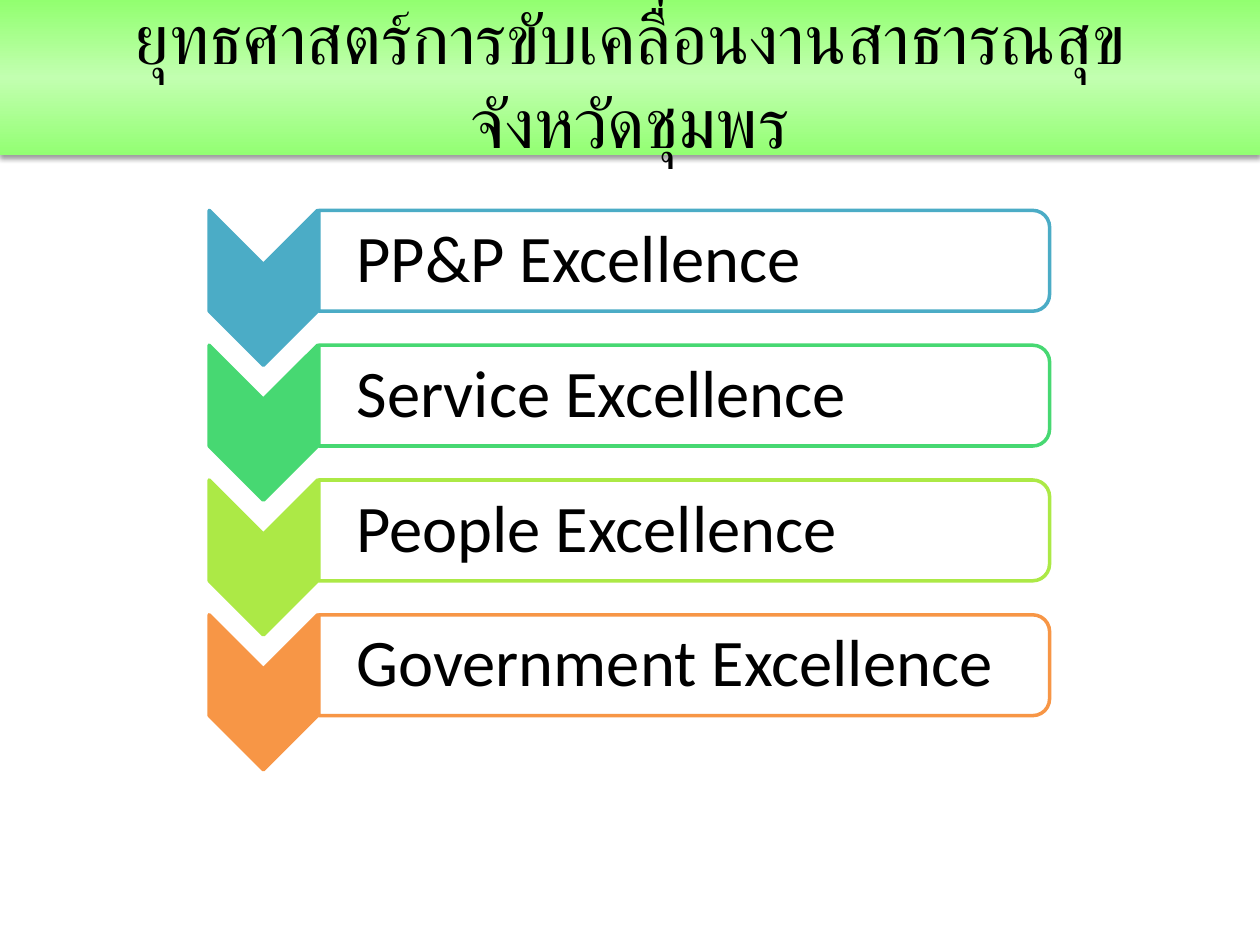
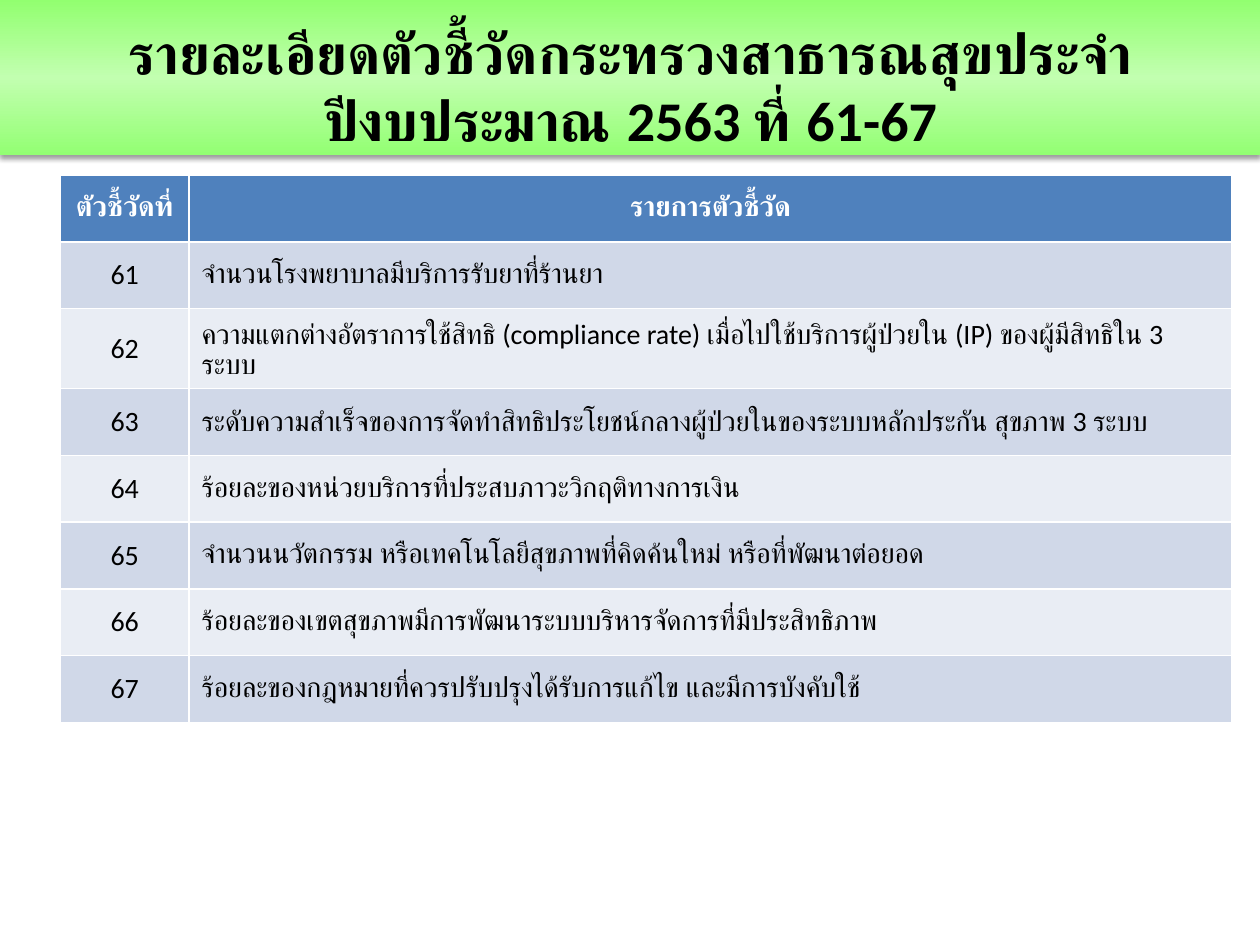
from typing import NamedTuple

from lxml import etree
from pptx import Presentation
from pptx import util as u
from pptx.dml.color import RGBColor
from pptx.enum import lang, shapes, text
from pptx.oxml import ns

PX = 9144  # 100 px to the inch
FONT = "Calibri"
BLACK, WHITE = "000000", "FFFFFF"
BAND_STOPS = ((0, "92FF70"), (50, "C2FFB0"), (100, "93FF73"))
HEADER_FILL = "4F81BD"
ROW_FILLS = ("D0D8E8", "E9EDF4")
A_NS = ns.nsdecls("a").split('"')[1]


class Box(NamedTuple):
    x: int
    y: int
    w: int
    h: int


class Goal(NamedTuple):
    name: str
    color: str


class Indicator(NamedTuple):
    number: str
    name: str


GOALS = (
    Goal("PP&P Excellence", "4BACC6"),
    Goal("Service Excellence", "47D872"),
    Goal("People Excellence", "ACE946"),
    Goal("Government Excellence", "F79646"),
)
GOAL_STEP = 107

INDICATORS = (
    Indicator("61", "จำนวนโรงพยาบาลมีบริการรับยาที่ร้านยา"),
    Indicator("62", "ความแตกต่างอัตราการใช้สิทธิ (compliance rate) เมื่อไปใช้บริการผู้ป่วยใน (IP) "
                    "ของผู้มีสิทธิใน 3 ระบบ"),
    Indicator("63", "ระดับความสำเร็จของการจัดทำสิทธิประโยชน์กลางผู้ป่วยในของระบบหลักประกัน "
                    "สุขภาพ 3 ระบบ"),
    Indicator("64", "ร้อยละของหน่วยบริการที่ประสบภาวะวิกฤติทางการเงิน"),
    Indicator("65", "จำนวนนวัตกรรม หรือเทคโนโลยีสุขภาพที่คิดค้นใหม่ หรือที่พัฒนาต่อยอด"),
    Indicator("66", "ร้อยละของเขตสุขภาพมีการพัฒนาระบบบริหารจัดการที่มีประสิทธิภาพ"),
    Indicator("67", "ร้อยละของกฎหมายที่ควรปรับปรุงได้รับการแก้ไข และมีการบังคับใช้"),
)


def px(n: float) -> u.Emu:
    return u.Emu(round(n * PX))


def rgb(color: str) -> RGBColor:
    return RGBColor.from_string(color)


def sub(parent, tag: str, **attrs):
    """Append a DrawingML element."""
    return etree.SubElement(parent, f"{{{A_NS}}}{tag}", {k: str(v) for k, v in attrs.items()})


def write(tf, words: str, size: int, color: str = BLACK, bold: bool = False,
          align=text.PP_ALIGN.LEFT) -> None:
    tf.text = words
    tf.word_wrap = True
    p = tf.paragraphs[0]
    p.alignment = align
    for r in p.runs:
        r.font.name, r.font.size, r.font.bold = FONT, u.Pt(size), bold
        r.font.color.rgb = rgb(color)
        r.font.language_id = lang.MSO_LANGUAGE_ID.THAI


def add_text(slide, box: Box, words: str, size: int, **style):
    tf = slide.shapes.add_textbox(*map(px, box)).text_frame
    write(tf, words, size, **style)
    tf.vertical_anchor = text.MSO_ANCHOR.MIDDLE
    return tf


def add_band(slide) -> None:
    s = slide.shapes.add_shape(shapes.MSO_SHAPE.RECTANGLE, *map(px, Box(0, 0, 1000, 123)))
    s.shadow.inherit = False
    s.line.fill.background()
    s.fill.gradient()
    grad = s._element.spPr.find(ns.qn("a:gradFill"))
    for child in list(grad):
        grad.remove(child)
    stops = sub(grad, "gsLst")
    for pos, color in BAND_STOPS:
        sub(sub(stops, "gs", pos=pos * 1000), "srgbClr", val=color)
    sub(grad, "lin", ang=90 * 60000, scaled=0)
    shadow = sub(s._element.spPr.find(ns.qn("a:effectLst")), "outerShdw",
                 blurRad=u.Pt(3.1), dist=u.Pt(1.6), dir=90 * 60000, rotWithShape=0)
    sub(sub(shadow, "srgbClr", val=BLACK), "alpha", val=38000)


def add_title(slide, box: Box, words: str, size: int, bold: bool = False) -> None:
    add_text(slide, box, words, size, bold=bold, align=text.PP_ALIGN.CENTER)


def add_turned(slide, kind, box: Box, fill: str, line: str):
    """Draw a preset turned by 90 degrees so that it covers the box."""
    shift = (box.w - box.h) / 2
    s = slide.shapes.add_shape(kind, px(box.x + shift), px(box.y - shift), px(box.h), px(box.w))
    s.rotation = 90
    s.shadow.inherit = False
    s.fill.solid()
    s.fill.fore_color.rgb = rgb(fill)
    s.line.color.rgb = rgb(line)
    s.line.width = u.Pt(2)
    return s


def add_goal(slide, goal: Goal, top: int) -> None:
    add_turned(slide, shapes.MSO_SHAPE.CHEVRON, Box(166, top, 86, 123), goal.color, goal.color)
    panel = add_turned(slide, shapes.MSO_SHAPE.ROUND_2_SAME_RECTANGLE,
                       Box(253, top, 580, 80), WHITE, goal.color)
    sub(panel._element.spPr.find(ns.qn("a:solidFill"))[0], "alpha", val=90000)
    tf = add_text(slide, Box(253, top + 4, 576, 72), goal.name, 38)
    tf.margin_left = px(30)
    tf.margin_top = tf.margin_right = tf.margin_bottom = px(3)
    tf.paragraphs[0].line_spacing = 0.9


def fill_cell(cell, words: str, fill: str, **style) -> None:
    cell.fill.solid()
    cell.fill.fore_color.rgb = rgb(fill)
    cell.vertical_anchor = text.MSO_ANCHOR.MIDDLE
    write(cell.text_frame, words, 16, **style)


def add_indicators(slide) -> None:
    rows = len(INDICATORS) + 1
    table = slide.shapes.add_table(rows, 2, *map(px, Box(48, 139, 930, 53 * rows))).table
    for column, width in zip(table.columns, (102, 828)):
        column.width = px(width)
    center = text.PP_ALIGN.CENTER
    for i, heading in enumerate(("ตัวชี้วัดที่", "รายการตัวชี้วัด")):
        fill_cell(table.cell(0, i), heading, HEADER_FILL, color=WHITE, bold=True, align=center)
    for i, item in enumerate(INDICATORS):
        fill = ROW_FILLS[i % 2]
        fill_cell(table.cell(i + 1, 0), item.number, fill, align=center)
        fill_cell(table.cell(i + 1, 1), item.name, fill)


def main() -> None:
    prs = Presentation()
    prs.slide_width, prs.slide_height = px(1000), px(750)
    blank = prs.slide_layouts[6]

    # Strategy goals
    slide = prs.slides.add_slide(blank)
    add_band(slide)
    add_title(slide, Box(50, 0, 900, 125), "ยุทธศาสตร์การขับเคลื่อนงานสาธารณสุขจังหวัดชุมพร", 40)
    for i, goal in enumerate(GOALS):
        add_goal(slide, goal, 167 + i * GOAL_STEP)

    # Indicator table
    slide = prs.slides.add_slide(blank)
    add_band(slide)
    add_indicators(slide)
    add_title(slide, Box(43, 36, 915, 64),
              "รายละเอียดตัวชี้วัดกระทรวงสาธารณสุขประจำปีงบประมาณ 2563 ที่ 61-67", 32, bold=True)

    prs.save("out.pptx")


if __name__ == "__main__":
    main()
